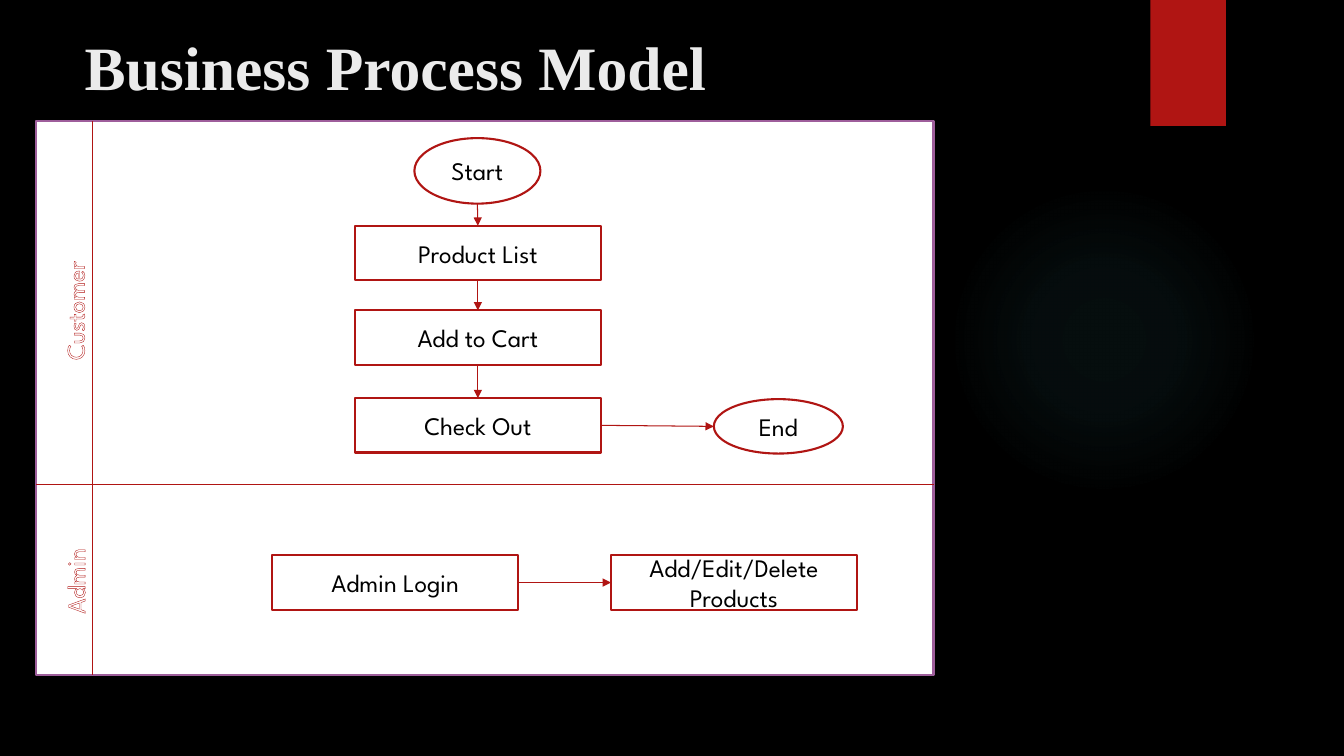
from itertools import pairwise
from lxml.etree import SubElement
from pptx import Presentation
from pptx.dml.color import RGBColor
from pptx.enum.shapes import MSO_CONNECTOR, MSO_SHAPE
from pptx.enum.text import MSO_ANCHOR, PP_ALIGN
from pptx.oxml import parse_xml
from pptx.oxml.ns import nsdecls, qn
from pptx.util import Inches, Pt

BLACK = RGBColor(0x00, 0x00, 0x00)
WHITE = RGBColor(0xFF, 0xFF, 0xFF)
PALE = RGBColor(0xEB, 0xEB, 0xEB)
RED = RGBColor(0xB0, 0x15, 0x13)
PLUM = RGBColor(0x9E, 0x5E, 0x9B)
TEAL = RGBColor(0x50, 0xB9, 0xC1)

HEAD = {"name": "Times New Roman", "size": Pt(44), "bold": True}
BODY = {"name": "League Spartan", "size": Pt(18)}
RECT, OVAL = MSO_SHAPE.RECTANGLE, MSO_SHAPE.OVAL


def write(shape, text, style, color, align, anchor):
    """Put one styled line of text into a shape."""
    frame = shape.text_frame
    for key, value in {"word_wrap": True, "vertical_anchor": anchor}.items():
        setattr(frame, key, value)
    para = frame.paragraphs[0]
    para.alignment = align
    run = para.add_run()
    run.text = text
    for key, value in style.items():
        setattr(run.font, key, value)
    run.font.color.rgb = color
    return run


def block(slide, kind, box, fill, edge=None):
    """Draw a plain shape in a box, with an optional outline."""
    shape = slide.shapes.add_shape(kind, *map(Inches, box))
    shape.shadow.inherit = False
    shape.fill.solid()
    shape.fill.fore_color.rgb = fill
    if edge is None:
        shape.line.fill.background()
    else:
        shape.line.color.rgb = edge
        shape.line.width = Pt(1.5)
    return shape


def rule(slide, start, end, arrow=False):
    """Draw a thin red line between two points given in EMU."""
    line = slide.shapes.add_connector(MSO_CONNECTOR.STRAIGHT, *start, *end)
    line.line.color.rgb = RED
    line.line.width = Pt(0.75)
    props = line.element.spPr
    if arrow:
        SubElement(props.find(qn("a:ln")), qn("a:tailEnd"), type="triangle")
    SubElement(props, qn("a:effectLst"))


def link(slide, first, last, down):
    """Join two steps by an arrow, downwards or to the right."""
    if down:
        start = first.left + first.width // 2, first.top + first.height
        end = last.left + last.width // 2, last.top
    else:
        start = first.left + first.width, first.top + first.height // 2
        end = last.left, last.top + last.height // 2
    rule(slide, start, end, True)


def step(slide, text, kind, box):
    """Draw one outlined step of the flow with its label."""
    shape = block(slide, kind, box, WHITE, RED)
    write(shape, text, BODY, BLACK, PP_ALIGN.CENTER, MSO_ANCHOR.MIDDLE)
    return shape


def label(slide, text, box):
    """Write an upright lane name in outlined letters."""
    shape = slide.shapes.add_textbox(*map(Inches, box))
    shape.rotation = 270
    run = write(shape, text, BODY, WHITE, PP_ALIGN.LEFT, MSO_ANCHOR.TOP)
    edge = parse_xml(
        f'<a:ln {nsdecls("a")} w="{Pt(0.75)}"><a:solidFill>'
        f'<a:srgbClr val="{RED}"/></a:solidFill></a:ln>')
    run.font._element.insert(0, edge)


def glow(slide, box):
    """Draw a faint round glow that fades outwards."""
    shape = block(slide, OVAL, box, TEAL)
    stops = "".join(
        f'<a:gs pos="{pos * 1000}"><a:srgbClr val="{TEAL}">'
        f'<a:alpha val="{alpha * 1000}"/></a:srgbClr></a:gs>'
        for pos, alpha in ((0, 7), (36, 6), (69, 0)))
    grad = parse_xml(
        f'<a:gradFill {nsdecls("a")}><a:gsLst>{stops}</a:gsLst>'
        '<a:path path="circle"><a:fillToRect l="50000" t="50000" '
        'r="50000" b="50000"/></a:path></a:gradFill>')
    props = shape.element.spPr
    props.replace(props.find(qn("a:solidFill")), grad)


def title(slide, box):
    """Write the slide heading."""
    shape = slide.shapes.add_textbox(*map(Inches, box))
    write(shape, "Business Process Model", HEAD, PALE,
          PP_ALIGN.LEFT, MSO_ANCHOR.MIDDLE)


def pool(slide, box):
    """Draw the white pool, its two lanes and their names."""
    x, y, wide, high = box
    block(slide, RECT, box, WHITE, PLUM)
    side, split = Inches(x + 0.56), Inches(y + 3.61)
    rule(slide, (side, Inches(y)), (side, Inches(y + high)))
    rule(slide, (Inches(x), split), (Inches(x + wide), split))
    label(slide, "Customer", (x - 0.7, y + 1.19, 2.16, 0.4))
    label(slide, "Admin", (x - 0.49, y + 3.91, 1.75, 0.4))


def buyer(slide, box):
    """Draw the customer flow from start to end."""
    x, y = box[:2]
    chain = [step(slide, "Start", OVAL, (x + 3.75, y + 0.17, 1.25, 0.65))]
    for text, drop in (("Product List", 1.04), ("Add to Cart", 1.88),
                       ("Check Out", 2.75)):
        chain.append(step(slide, text, RECT, (x + 3.16, y + drop, 2.44, 0.54)))
    for first, last in pairwise(chain):
        link(slide, first, last, True)
    end = step(slide, "End", OVAL, (x + 6.72, y + 2.76, 1.28, 0.54))
    link(slide, chain[-1], end, False)


def admin(slide, box):
    """Draw the admin flow of two steps."""
    x, y = box[:2]
    pair = [step(slide, text, RECT, (x + left, y + 4.31, 2.44, 0.54))
            for text, left in (("Admin Login", 2.34),
                               ("Add/Edit/Delete Products", 5.7))]
    link(slide, *pair, False)


def main():
    """Build the slide and save it."""
    deck = Presentation()
    deck.slide_width, deck.slide_height = Inches(13.33), Inches(7.5)
    slide = deck.slides.add_slide(deck.slide_layouts[6])
    back = slide.background.fill
    back.solid()
    back.fore_color.rgb = BLACK
    glow(slide, (9.41, 1.83, 3.08, 3.08))
    block(slide, RECT, (11.41, 0, 0.75, 1.25), RED)
    title(slide, (0.74, 0.2, 9.4, 0.9))
    frame = (0.36, 1.2, 8.9, 5.5)
    for draw in (pool, buyer, admin):
        draw(slide, frame)
    deck.save("out.pptx")


if __name__ == "__main__":
    main()
